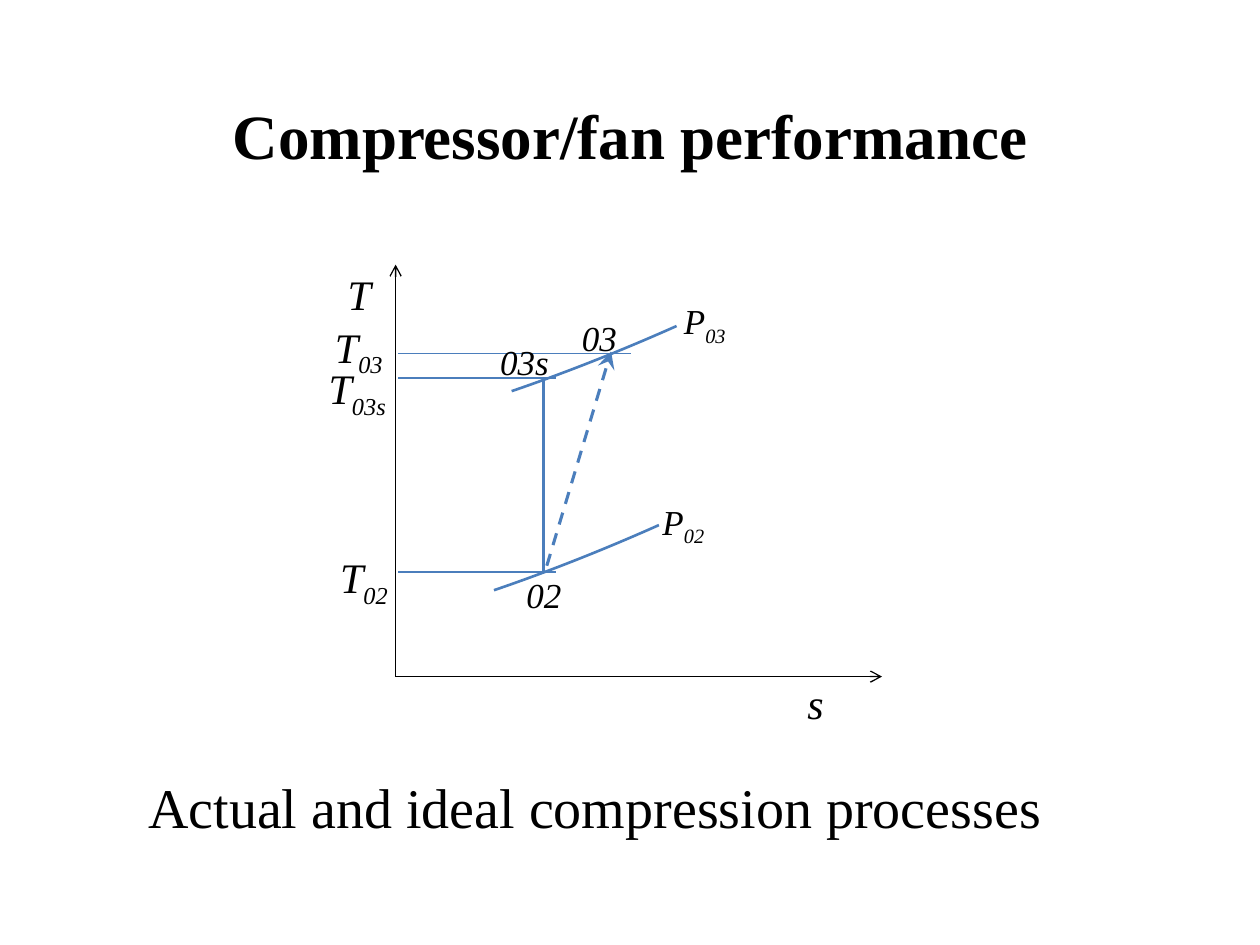
from dataclasses import dataclass

from lxml import etree
from pptx import Presentation
from pptx import util as u
from pptx.dml.color import RGBColor
from pptx.enum import dml, shapes, text
from pptx.oxml.ns import qn


@dataclass(frozen=True)
class Theme:
    """Colours, font and type sizes of the slide."""
    ink: RGBColor = RGBColor(0x00, 0x00, 0x00)
    process: RGBColor = RGBColor(0x4B, 0x7E, 0xBC)
    font: str = "Times New Roman"
    title: int = 36
    caption: int = 32
    axis: int = 24
    state: int = 20
    thin: float = 0.75
    curve: float = 1.5
    thick: float = 1.75


class Diagram:
    """Draws on one slide, measured on a grid of 100 columns by 75 rows."""

    def __init__(self, deck, theme):
        """Add a title-only slide and work out the grid cell."""
        self.theme = theme
        self.slide = deck.slides.add_slide(deck.slide_layouts[5])
        self.column = deck.slide_width / 100
        self.row = deck.slide_height / 75

    def place(self, *cells):
        """Turn alternating columns and rows into lengths."""
        return [u.Emu(round(cell * (self.row if i % 2 else self.column)))
                for i, cell in enumerate(cells)]

    def add_run(self, paragraph, words, size, bold=False, italic=False, subscript=False):
        """Append one formatted run."""
        run = paragraph.add_run()
        run.text = words
        run.font.name = self.theme.font
        run.font.size = u.Pt(size)
        run.font.bold = bold
        run.font.italic = italic
        run.font.color.rgb = self.theme.ink
        if subscript:
            run._r.get_or_add_rPr().set("baseline", "-25000")

    def title(self, words, cells):
        """Move and fill the title placeholder."""
        heading = self.slide.shapes.title
        heading.left, heading.top, heading.width, heading.height = self.place(*cells)
        paragraph = heading.text_frame.paragraphs[0]
        paragraph.alignment = text.PP_ALIGN.CENTER
        self.add_run(paragraph, words, self.theme.title, bold=True)

    def label(self, words, cells, size, subscript="", italic=True, wrap=False):
        """Add a text box with an optional subscript."""
        frame = self.slide.shapes.add_textbox(*self.place(*cells)).text_frame
        frame.word_wrap = wrap
        frame.auto_size = text.MSO_AUTO_SIZE.SHAPE_TO_FIT_TEXT
        paragraph = frame.paragraphs[0]
        self.add_run(paragraph, words, size, italic=italic)
        if subscript:
            self.add_run(paragraph, subscript, size, italic=italic, subscript=True)

    def line(self, start, end, color, width, head=None, head_size="med", dash=None):
        """Add a straight line with an optional arrowhead and dash."""
        stroke = self.slide.shapes.add_connector(
            shapes.MSO_CONNECTOR.STRAIGHT, *self.place(*start, *end))
        stroke.line.color.rgb = color
        stroke.line.width = u.Pt(width)
        if dash:
            stroke.line.dash_style = dash
        properties = stroke._element.spPr
        if head:
            etree.SubElement(properties.find(qn("a:ln")), qn("a:tailEnd"),
                             type=head, w=head_size, len=head_size)
        etree.SubElement(properties, qn("a:effectLst"))

    def isobar(self, left, top):
        """Add a rising constant-pressure curve."""
        curve = self.slide.shapes.add_shape(
            shapes.MSO_SHAPE.ARC, *self.place(left, top, 62.4, 11.7))
        curve.adjustments[0] = 152.86
        curve.adjustments[1] = 202.04
        curve.rotation = 156.5
        curve.shadow.inherit = False
        curve.fill.background()
        curve.line.color.rgb = self.theme.process
        curve.line.width = u.Pt(self.theme.curve)


def main():
    """Build the compressor slide."""
    deck = Presentation()
    deck.slide_width, deck.slide_height = u.Inches(10), u.Inches(7.5)
    theme = Theme()
    diagram = Diagram(deck, theme)
    diagram.title("Compressor/fan performance", (5, 6.9, 90, 7.5))

    origin = (31.4, 53.7)
    for axis_end in ((70, 53.7), (31.4, 21)):
        diagram.line(origin, axis_end, theme.ink, theme.thin, head="arrow")

    diagram.line((43.1, 45.4), (43.1, 30.1), theme.process, theme.thick)
    for left, top in ((17.3, 31.1), (18.7, 15.3)):
        diagram.isobar(left, top)
    diagram.line((43.4, 44.9), (48.5, 27.9), theme.process, theme.thick,
                 head="stealth", head_size="lg", dash=dml.MSO_LINE.DASH)

    for level, end_column in ((45.4, 44.1), (30, 44.1), (28.05, 50.1)):
        diagram.line((31.6, level), (end_column, level), theme.process, theme.thin)

    axis_labels = (
        ("s", "", 63.1, 53.3, 3.3),
        ("T", "", 26.6, 20.8, 3.9),
        ("T", "02", 26, 43.3, 6.1),
        ("T", "03s", 25.1, 28.3, 7),
        ("T", "03", 25.6, 25, 6.1),
    )
    state_labels = (
        ("03s", "", 38.7, 26.5, 5.9),
        ("P", "02", 51.6, 39.2, 5.6),
        ("P", "03", 53.3, 23.3, 5.6),
        ("03", "", 45.2, 24.6, 4.8),
        ("02", "", 40.8, 45, 4.8),
    )
    for labels, size, height in ((axis_labels, theme.axis, 5), (state_labels, theme.state, 4.4)):
        for symbol, subscript, left, top, width in labels:
            diagram.label(symbol, (left, top, width, height), size, subscript)

    diagram.label("Actual and ideal compression processes", (10.8, 60.8, 81.7, 6.4),
                  theme.caption, italic=False, wrap=True)
    deck.save("out.pptx")


if __name__ == "__main__":
    main()
